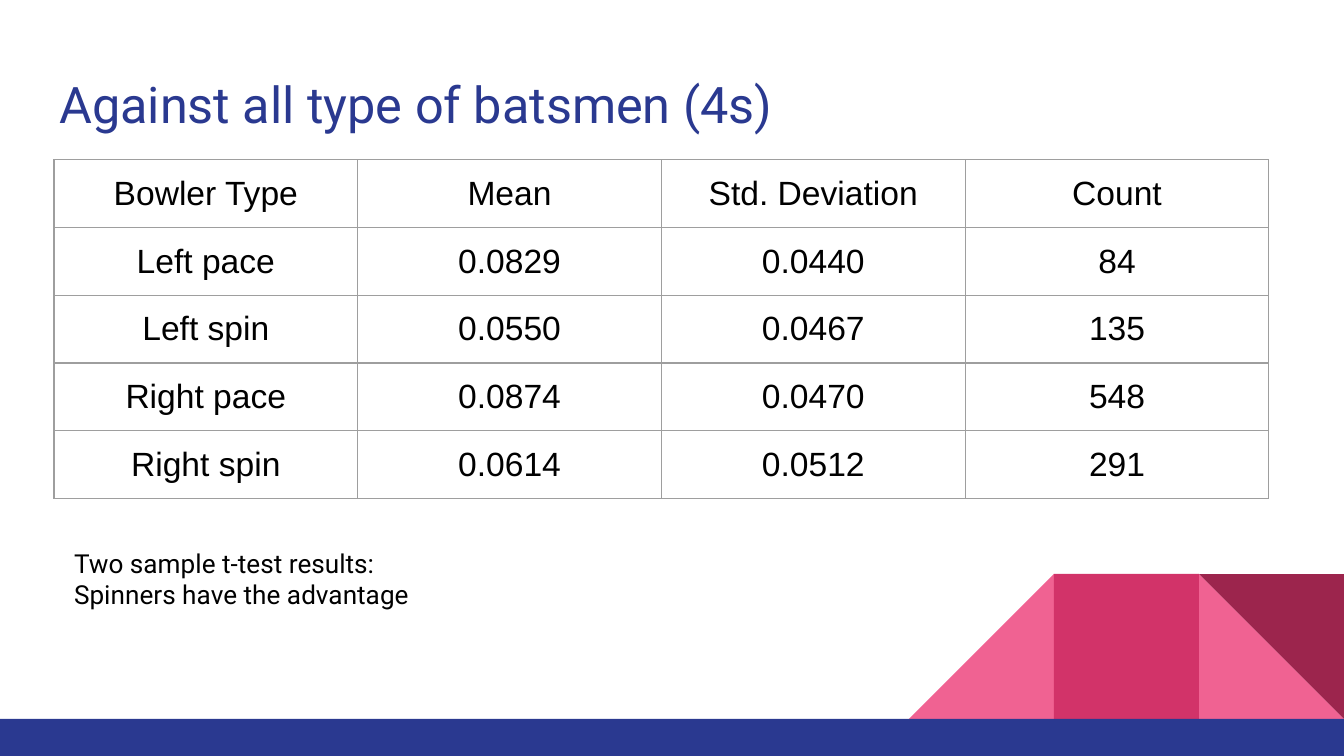
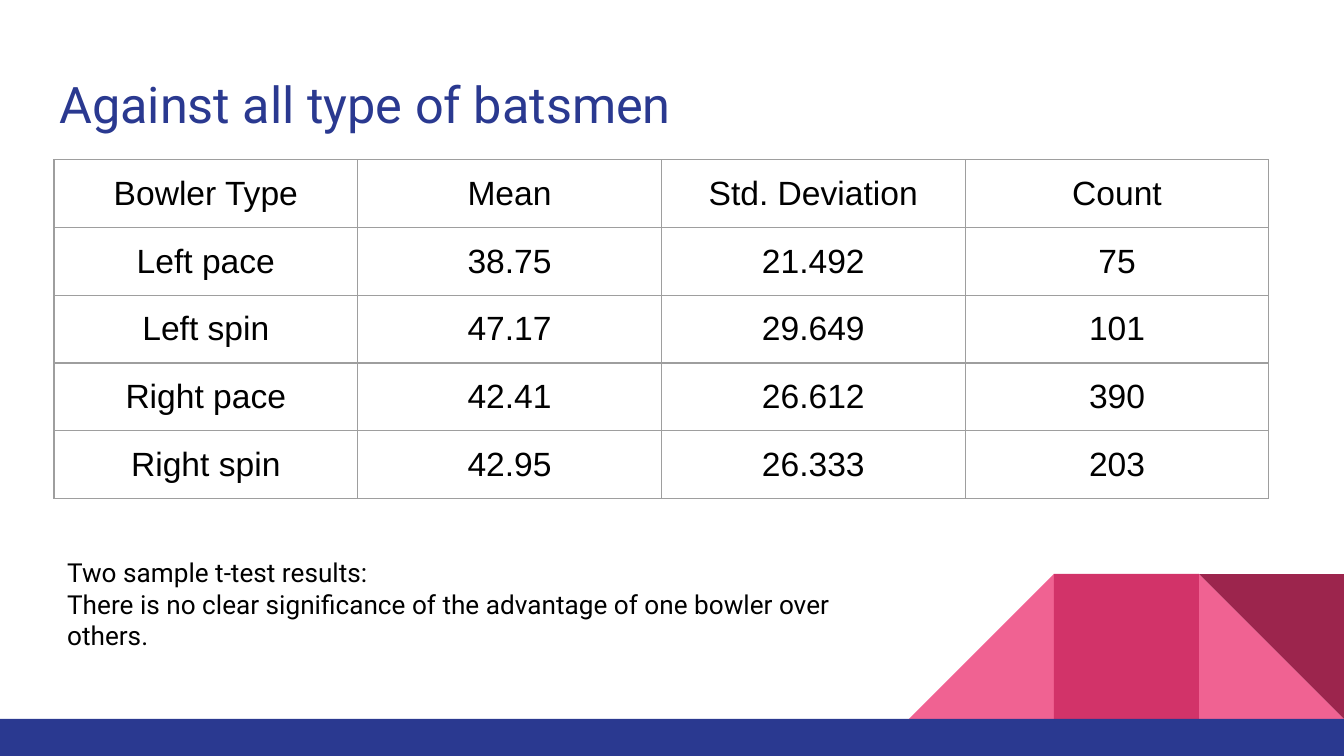
"""Builds two slides comparing bowler types, each with a table and a test result."""
from dataclasses import dataclass

from lxml.etree import SubElement
from pptx import Presentation
from pptx.dml.color import RGBColor
from pptx.enum.shapes import MSO_SHAPE as Shape
from pptx.enum.text import MSO_ANCHOR as Anchor, PP_ALIGN as Align
from pptx.oxml import parse_xml
from pptx.oxml.ns import nsdecls, qn
from pptx.util import Cm, Pt

HEADER = ("Bowler Type", "Mean", "Std. Deviation", "Count")
SLIDES = [
    {
        "title": "Against all type of batsmen (4s)",
        "rows": [
            ("Left pace", "0.0829", "0.0440", "84"),
            ("Left spin", "0.0550", "0.0467", "135"),
            ("Right pace", "0.0874", "0.0470", "548"),
            ("Right spin", "0.0614", "0.0512", "291"),
        ],
        "result": ["Two sample t-test results:", "Spinners have the advantage"],
        "result_box": (1.15, 10.09, 16.3, 1.7),
    },
    {
        "title": "Against all type of batsmen",
        "rows": [
            ("Left pace", "38.75", "21.492", "75"),
            ("Left spin", "47.17", "29.649", "101"),
            ("Right pace", "42.41", "26.612", "390"),
            ("Right spin", "42.95", "26.333", "203"),
        ],
        "result": [
            "Two sample t-test results:",
            "There is no clear significance of the advantage of one bowler over others.",
        ],
        "result_box": (1.02, 10.27, 16.08, 2.9),
    },
]


@dataclass(frozen=True)
class Theme:
    navy: str = "2A3990"
    pink: str = "F06292"
    rose: str = "D23369"
    wine: str = "9C254D"
    black: str = "000000"
    grid: str = "9E9E9E"
    text_font: str = "Roboto"
    table_font: str = "Arial"
    title_size: int = 27
    table_size: int = 18
    result_size: int = 14
    grid_width: float = 0.75


THEME = Theme()
WIDTH, HEIGHT = 25.4, 14.29
BAND_TOP, TILE, INSET = 13.59, 2.74, 0.25
TITLE_BOX = (0.87, 1.14, 23.67, 1.68)
TABLE_LEFT, TABLE_TOP, COLUMN, ROW = 1.02, 3.02, 5.74, 1.28


def style_paragraph(paragraph, text, font, size, color):
    paragraph.text = text
    paragraph.font.name = font
    paragraph.font.size = Pt(size)
    paragraph.font.color.rgb = RGBColor.from_string(color)


def set_margins(target):
    target.margin_left = target.margin_right = Cm(INSET)
    target.margin_top = target.margin_bottom = Cm(INSET)


def add_block(slide, kind, box, color):
    shape = slide.shapes.add_shape(kind, *map(Cm, box))
    shape.shadow.inherit = False
    shape.fill.solid()
    shape.fill.fore_color.rgb = RGBColor.from_string(color)
    shape.line.fill.background()
    return shape


def add_decoration(slide):
    left, middle, right = (
        (WIDTH - count * TILE, BAND_TOP - TILE, TILE, TILE) for count in (3, 2, 1)
    )
    add_block(slide, Shape.RIGHT_TRIANGLE, right, THEME.pink)
    ramp = add_block(slide, Shape.RIGHT_TRIANGLE, left, THEME.pink)
    ramp._element.spPr.find(qn("a:xfrm")).set("flipH", "1")
    add_block(slide, Shape.RECTANGLE, middle, THEME.rose)
    add_block(slide, Shape.RIGHT_TRIANGLE, right, THEME.wine).rotation = 180
    add_block(slide, Shape.RECTANGLE, (0, BAND_TOP, WIDTH, HEIGHT - BAND_TOP), THEME.navy)


def add_text(slide, box, lines, size, color):
    frame = slide.shapes.add_textbox(*map(Cm, box)).text_frame
    frame.word_wrap = True
    set_margins(frame)
    for index, line in enumerate(lines):
        paragraph = frame.add_paragraph() if index else frame.paragraphs[0]
        style_paragraph(paragraph, line, THEME.text_font, size, color)


def add_borders(cell):
    properties = cell._tc.get_or_add_tcPr()
    for index, side in enumerate(("lnL", "lnR", "lnT", "lnB")):
        line = parse_xml(f'<a:{side} {nsdecls("a")} w="{Pt(THEME.grid_width)}"/>')
        fill = SubElement(line, qn("a:solidFill"))
        SubElement(fill, qn("a:srgbClr")).set("val", THEME.grid)
        properties.insert(index, line)


def add_statistics(slide, rows):
    size = len(rows), len(rows[0])
    table = slide.shapes.add_table(
        *size, Cm(TABLE_LEFT), Cm(TABLE_TOP), Cm(COLUMN * size[1]), Cm(ROW * size[0])
    ).table
    table.first_row = table.horz_banding = False
    for row_index, row in enumerate(rows):
        table.rows[row_index].height = Cm(ROW)
        for column_index, text in enumerate(row):
            cell = table.cell(row_index, column_index)
            cell.fill.background()
            cell.vertical_anchor = Anchor.MIDDLE
            set_margins(cell)
            add_borders(cell)
            paragraph = cell.text_frame.paragraphs[0]
            paragraph.alignment = Align.CENTER
            style_paragraph(paragraph, text, THEME.table_font, THEME.table_size, THEME.black)


presentation = Presentation()
presentation.slide_width, presentation.slide_height = Cm(WIDTH), Cm(HEIGHT)
for content in SLIDES:
    slide = presentation.slides.add_slide(presentation.slide_layouts[6])
    add_decoration(slide)
    add_text(slide, TITLE_BOX, [content["title"]], THEME.title_size, THEME.navy)
    add_statistics(slide, [HEADER, *content["rows"]])
    add_text(slide, content["result_box"], content["result"], THEME.result_size, THEME.black)
presentation.save("out.pptx")
